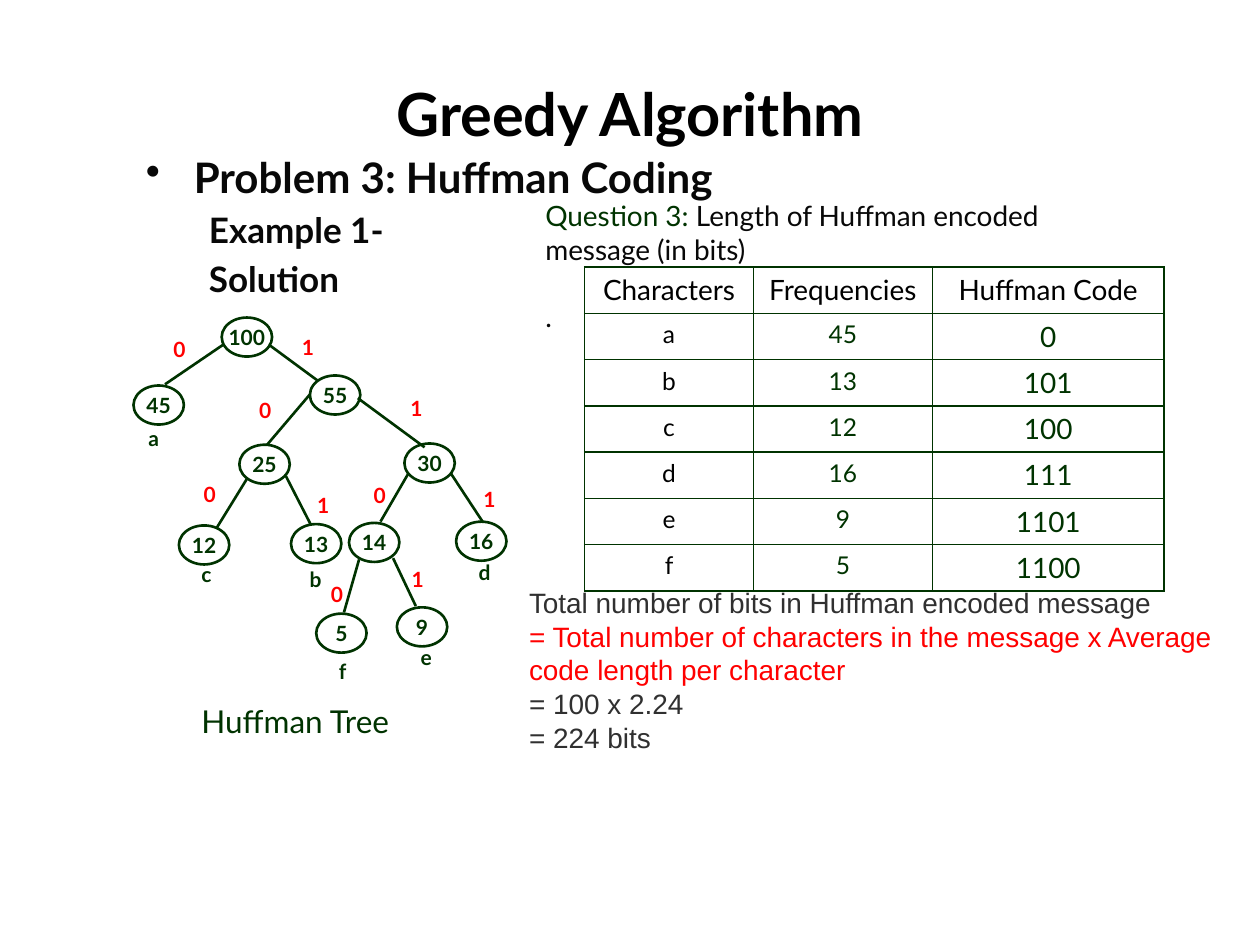
from dataclasses import dataclass

from lxml import etree
from pptx import Presentation
from pptx import util as u
from pptx.dml.color import RGBColor
from pptx.enum import shapes, text
from pptx.oxml import ns


@dataclass(frozen=True)
class Theme:
    sans: str = "Lato"
    plain: str = "Arial"
    green: str = "003300"
    red: str = "FF0000"
    black: str = "000000"
    ink: str = "080808"
    grey: str = "303030"
    title: int = 34
    head: int = 24
    sub: int = 20
    name: int = 18
    body: int = 16
    cell: int = 14
    node: int = 12
    line: float = 1.5
    rule: float = 1


T = Theme()
WIDE, HIGH = 10, 7.5
COLS = 100  # square grid: 100 columns by 75 rows
LEFT, MID = text.PP_ALIGN.LEFT, text.PP_ALIGN.CENTER

# Tree nodes: value, column, row of the ellipse
NODE_W, NODE_H = 4, 3.1
NODES = [
    ("100", 17.6, 25.2), ("45", 10.6, 30.6), ("55", 24.6, 29.8),
    ("25", 19, 35.3), ("30", 32.1, 35.2), ("12", 14.2, 41.7),
    ("13", 23.1, 41.6), ("14", 27.7, 41.5), ("16", 36.2, 41.4),
    ("5", 25.1, 48.7), ("9", 31.5, 48.2),
]
# Leaf letters: letter, column, row
LEAVES = [
    ("a", 10.8, 33.3), ("c", 15, 44.1), ("b", 23.6, 44.5),
    ("d", 37, 43.9), ("f", 25.9, 51.8), ("e", 32.4, 50.7),
]
# Edges: start, end, bit, place of the bit
EDGES = [
    ((17.8, 27.3), (13.1, 30.5), "0", (12.4, 26.2)),
    ((21.4, 27.4), (25.2, 30.2), "1", (22.6, 26.1)),
    ((24.6, 31.3), (21.2, 35.3), "0", (19.2, 31.1)),
    ((28.4, 31.6), (33.7, 35.5), "1", (31.2, 30.9)),
    ((19.6, 38), (17.2, 41.9), "0", (14.8, 37.7)),
    ((22.7, 37.8), (24.7, 41.7), "1", (23.8, 38.6)),
    ((32.4, 37.6), (30.2, 41.4), "0", (28.3, 37.8)),
    ((35.8, 37.6), (38.3, 41.4), "1", (37, 38.1)),
    ((28.5, 44.4), (27.3, 48.6), "0", (24.9, 45.7)),
    ((31.2, 44.3), (33, 48.1), "1", (31.3, 44.5)),
]
CODES = [
    ("Characters", "Frequencies", "Huffman Code"),
    ("a", "45", "0"), ("b", "13", "101"), ("c", "12", "100"),
    ("d", "16", "111"), ("e", "9", "1101"), ("f", "5", "1100"),
]


def grid(*cells):
    return [u.Inches(n * WIDE / COLS) for n in cells]


def rgb(ink):
    return RGBColor.from_string(ink)


def style(run, size, ink, bold=False, face=T.sans):
    font = run.font
    font.size, font.bold, font.name = u.Pt(size), bold, face
    font.color.rgb = rgb(ink)


def write(frame, words, size, ink, bold=False, face=T.sans, align=LEFT):
    frame.text = words
    for para in frame.paragraphs:
        para.alignment = align
        for run in para.runs:
            style(run, size, ink, bold, face)


def label(slide, box, words, size, ink, **look):
    frame = slide.shapes.add_textbox(*grid(*box)).text_frame
    frame.word_wrap = True
    write(frame, words, size, ink, **look)
    return frame


def node(slide, words, col, row):
    oval = slide.shapes.add_shape(
        shapes.MSO_SHAPE.OVAL, *grid(col, row, NODE_W, NODE_H))
    oval.shadow.inherit = False
    oval.fill.background()
    oval.line.color.rgb = rgb(T.green)
    oval.line.width = u.Pt(T.line)
    frame = oval.text_frame
    frame.margin_left = frame.margin_right = 0
    frame.margin_top = frame.margin_bottom = 0
    frame.vertical_anchor = text.MSO_ANCHOR.MIDDLE
    frame.word_wrap = False
    write(frame, words, T.node, T.green, bold=True, align=MID)


def edge(slide, start, end):
    line = slide.shapes.add_connector(
        shapes.MSO_CONNECTOR.STRAIGHT, *grid(*start, *end))
    line.line.color.rgb = rgb(T.green)
    line.line.width = u.Pt(T.line)
    etree.SubElement(line._element.spPr, ns.qn("a:effectLst"))


def border(cell):
    props = cell._tc.get_or_add_tcPr()
    for spot, side in enumerate(("lnL", "lnR", "lnT", "lnB")):
        line = etree.Element(ns.qn("a:" + side), w=str(u.Pt(T.rule)))
        fill = etree.SubElement(line, ns.qn("a:solidFill"))
        etree.SubElement(fill, ns.qn("a:srgbClr"), val=T.green)
        props.insert(spot, line)


def tree(slide):
    for start, end, bit, spot in EDGES:
        edge(slide, start, end)
        label(slide, (*spot, 3.7, 3), bit, T.node, T.red,
              bold=True, align=MID)
    for item in NODES:
        node(slide, *item)
    for leaf, col, row in LEAVES:
        label(slide, (col, row, 3.1, 3), leaf, T.node, T.green, bold=True)
    label(slide, (15, 55.2, 18.4, 4), "Huffman Tree", T.name, T.green)


def table(slide):
    grid_t = slide.shapes.add_table(
        len(CODES), len(CODES[0]), *grid(46.4, 21.2, 46, 25.7)).table
    grid_t.first_row = grid_t.horz_banding = False
    for col, wide in zip(grid_t.columns, grid(13.4, 14.2, 18.4)):
        col.width = wide
    for r, row in enumerate(CODES):
        for c, words in enumerate(row):
            cell = grid_t.cell(r, c)
            cell.fill.background()
            border(cell)
            size = T.body if r == 0 or c == 2 else T.cell
            ink = T.black if r == 0 or c == 0 else T.green
            write(cell.text_frame, words, size, ink, align=MID)


def heads(slide):
    top = label(slide, (5, 5, 90, 7.9), "Greedy Algorithm",
                T.title, T.black, bold=True, align=MID)
    top.vertical_anchor = text.MSO_ANCHOR.MIDDLE

    frame = label(slide, (10.6, 11.5, 78.7, 20.5),
                  "Problem 3: Huffman Coding\nExample 1-\nSolution",
                  T.sub, T.ink, bold=True, align=text.PP_ALIGN.JUSTIFY)
    first, *rest = frame.paragraphs
    props = first._p.get_or_add_pPr()
    props.set("marL", str(u.Inches(0.38)))
    props.set("indent", str(u.Inches(-0.38)))
    etree.SubElement(props, ns.qn("a:buChar"), char="•")
    first.runs[0].font.size = u.Pt(T.head)
    for para in rest:
        para.level = 1
        para.space_before = u.Pt(4)
        para._p.get_or_add_pPr().set("marL", str(u.Inches(0.5)))
        para._p.get_or_add_pPr().set("indent", "0")


def answer(slide):
    ask = label(slide, (42.3, 15.3, 47.7, 11.8), "Question 3: \n.",
                T.body, T.ink)
    first, dot = ask.paragraphs
    first.runs[0].font.color.rgb = rgb(T.green)
    run = first.add_run()
    run.text = "Length of Huffman encoded message (in bits)"
    style(run, T.body, T.ink)
    dot.space_before = u.Pt(19)

    lines = ("Total number of bits in Huffman encoded message",
             "= Total number of characters in the message x Average "
             "code length per character",
             "= 100 x 2.24", "= 224 bits")
    sums = label(slide, (41, 46, 56.2, 14.5), "\n".join(lines),
                 T.body, T.grey, face=T.plain)
    sums.paragraphs[1].runs[0].font.color.rgb = rgb(T.red)


def main():
    deck = Presentation()
    deck.slide_width, deck.slide_height = u.Inches(WIDE), u.Inches(HIGH)
    slide = deck.slides.add_slide(deck.slide_layouts[6])
    heads(slide)
    answer(slide)
    tree(slide)
    table(slide)
    deck.save("out.pptx")


if __name__ == "__main__":
    main()
